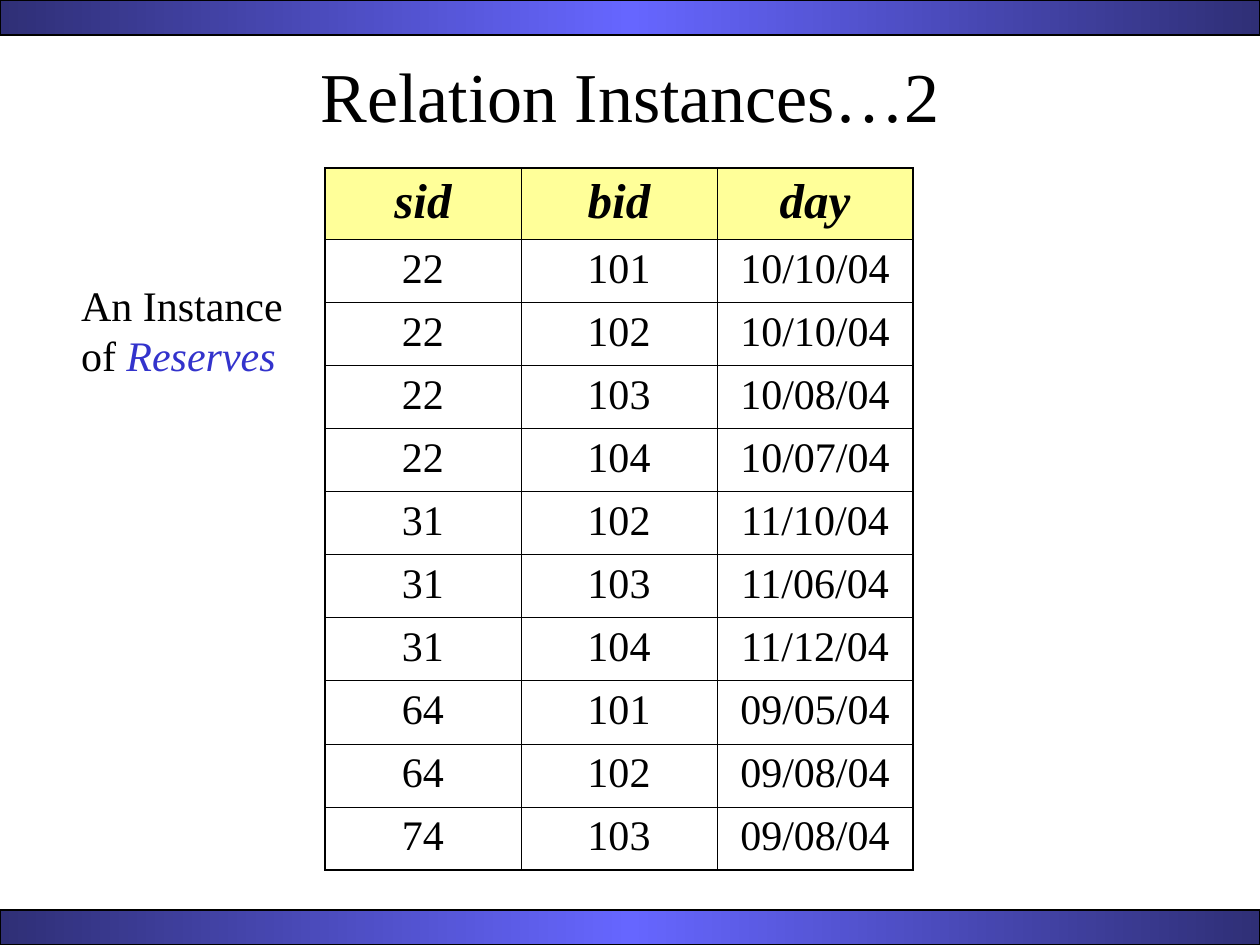
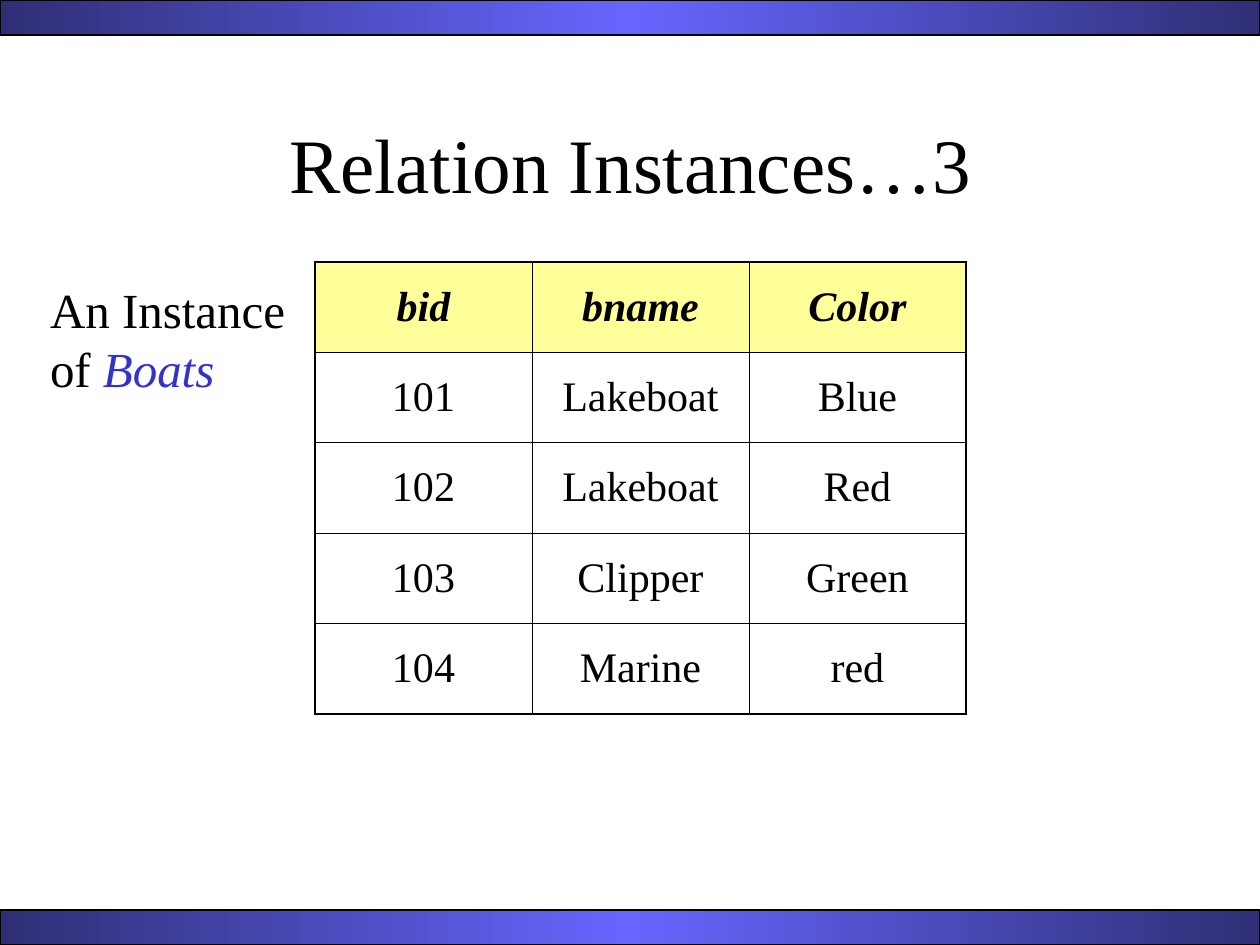
from copy import deepcopy
from dataclasses import dataclass

from lxml.etree import SubElement
from pptx import Presentation
from pptx.dml.color import RGBColor
from pptx.enum.shapes import MSO_SHAPE
from pptx.enum.text import MSO_ANCHOR, PP_ALIGN
from pptx.oxml.ns import qn
from pptx.util import Emu, Pt

SCALE = 914400 // 126
WIDE, HIGH = 1260, 945
BAND = 35
INDENT = 48
PAD = 12
FONT = "Times New Roman"
THICK, THIN = 1.08, 0.45
HUES = {
    "ink": "000000",
    "name": "3333CC",
    "head": "FFFF99",
    "edge": "2F2F76",
    "glow": "6666FF",
}


@dataclass
class Box:
    left: int
    top: int
    width: int
    height: int

    def emu(self) -> tuple:
        return tuple(px(n) for n in (self.left, self.top, self.width, self.height))


@dataclass
class Text:
    box: Box
    size: int
    words: str
    name: str = ""
    space: int = 0


@dataclass
class Grid:
    box: Box
    head: int
    size: int
    space: int
    anchor: MSO_ANCHOR
    rows: list


@dataclass
class Page:
    title: Text
    note: Text
    grid: Grid


def px(count: float) -> Emu:
    return Emu(round(count * SCALE))


def hue(key: str) -> RGBColor:
    return RGBColor.from_string(HUES[key])


def add_run(para, words: str, size: int, key: str = "ink",
            bold: bool = False, slant: bool = False) -> None:
    run = para.add_run()
    run.text = words
    font = run.font
    font.name, font.size = FONT, Pt(size)
    font.bold, font.italic = bold, slant
    font.color.rgb = hue(key)


def draw_band(slide, top: int) -> None:
    band = slide.shapes.add_shape(MSO_SHAPE.RECTANGLE, *Box(0, top, WIDE, BAND).emu())
    band.shadow.inherit = False
    band.line.color.rgb = hue("ink")
    band.line.width = Pt(0.74)
    band.fill.gradient()
    band.fill.gradient_angle = 0
    stops = band._element.xpath(".//a:gsLst")[0]
    stops.append(deepcopy(stops[-1]))
    for stop, place, key in zip(band.fill.gradient_stops, (0, 0.5, 1),
                                ("edge", "glow", "edge")):
        stop.position = place
        stop.color.rgb = hue(key)


def add_text(slide, text: Text):
    frame = slide.shapes.add_textbox(*text.box.emu()).text_frame
    frame.word_wrap = True
    para = frame.paragraphs[0]
    para.space_before = Pt(text.space)
    add_run(para, text.words, text.size)
    if text.name:
        add_run(para, text.name, text.size, "name", slant=True)
    return frame


def draw_title(slide, text: Text) -> None:
    frame = add_text(slide, text)
    frame.vertical_anchor = MSO_ANCHOR.MIDDLE
    frame.paragraphs[0].alignment = PP_ALIGN.CENTER


def draw_note(slide, text: Text) -> None:
    add_text(slide, text).margin_left = px(PAD + INDENT)


def set_edge(cell, **sides: float) -> None:
    props = cell._tc.get_or_add_tcPr()
    for spot, (side, width) in enumerate(sides.items()):
        line = SubElement(props, qn(f"a:ln{side}"), w=str(Pt(width)))
        fill = SubElement(line, qn("a:solidFill"))
        SubElement(fill, qn("a:srgbClr"), val=HUES["ink"])
        props.insert(spot, line)


def draw_grid(slide, grid: Grid) -> None:
    count, span = len(grid.rows), len(grid.rows[0])
    table = slide.shapes.add_table(count, span, *grid.box.emu()).table
    table.first_row = table.horz_banding = False
    for col in table.columns:
        col.width = px(grid.box.width / span)
    rest = (grid.box.height - grid.head) / (count - 1)
    for i, row in enumerate(grid.rows):
        table.rows[i].height = px(rest if i else grid.head)
        for j, words in enumerate(row):
            cell = table.cell(i, j)
            cell.vertical_anchor = grid.anchor
            para = cell.text_frame.paragraphs[0]
            para.alignment = PP_ALIGN.CENTER
            if i == 0:
                cell.fill.solid()
                cell.fill.fore_color.rgb = hue("head")
                para.space_before = Pt(grid.space)
                add_run(para, words, grid.size, bold=True, slant=True)
            else:
                cell.fill.background()
                para.space_before = Pt(6)
                add_run(para, words, 24)
            set_edge(cell,
                     L=THIN if j else THICK,
                     R=THIN if j < span - 1 else THICK,
                     T=THIN if i else THICK,
                     B=THIN if i < count - 1 else THICK)


def draw_page(deck, page: Page) -> None:
    slide = deck.slides.add_slide(deck.slide_layouts[6])
    for top in (0, HIGH - BAND):
        draw_band(slide, top)
    draw_title(slide, page.title)
    draw_note(slide, page.note)
    draw_grid(slide, page.grid)


PAGES = [
    Page(
        Text(Box(95, 53, 1071, 84), 40, "Relation Instances…2"),
        Text(Box(21, 273, 284, 168), 24, "An Instance of ", "Reserves", 6),
        Grid(Box(325, 168, 588, 702), 71, 28, 7, MSO_ANCHOR.TOP, [
            ("sid", "bid", "day"),
            ("22", "101", "10/10/04"),
            ("22", "102", "10/10/04"),
            ("22", "103", "10/08/04"),
            ("22", "104", "10/07/04"),
            ("31", "102", "11/10/04"),
            ("31", "103", "11/06/04"),
            ("31", "104", "11/12/04"),
            ("64", "101", "09/05/04"),
            ("64", "102", "09/08/04"),
            ("74", "103", "09/08/04"),
        ]),
    ),
    Page(
        Text(Box(95, 84, 1071, 158), 44, "Relation Instances…3"),
        Text(Box(-10, 273, 346, 158), 28, "An Instance of ", "Boats", 7),
        Grid(Box(315, 262, 651, 452), 90, 24, 6, MSO_ANCHOR.MIDDLE, [
            ("bid", "bname", "Color"),
            ("101", "Lakeboat", "Blue"),
            ("102", "Lakeboat", "Red"),
            ("103", "Clipper", "Green"),
            ("104", "Marine", "red"),
        ]),
    ),
]

deck = Presentation()
deck.slide_width, deck.slide_height = px(WIDE), px(HIGH)
for page in PAGES:
    draw_page(deck, page)
deck.save("out.pptx")
